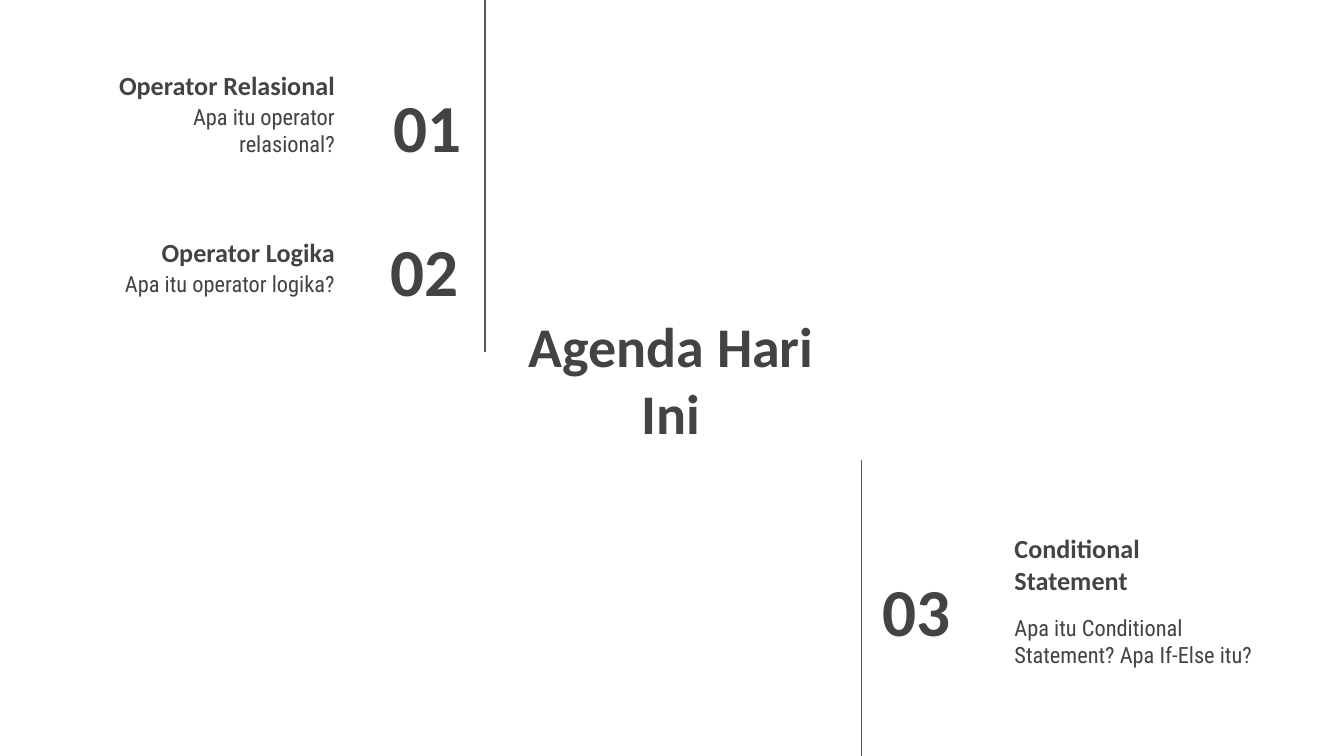
from typing import NamedTuple

from lxml.etree import SubElement
from pptx import Presentation
from pptx.dml.color import RGBColor
from pptx.enum.shapes import MSO_CONNECTOR
from pptx.enum.text import MSO_ANCHOR, PP_ALIGN
from pptx.oxml.ns import qn
from pptx.slide import Slide
from pptx.util import Pt

INK = RGBColor(0x43, 0x43, 0x43)
RULE = RGBColor(0x59, 0x59, 0x59)
HEAD_FONT = "Calibri"
BODY_FONT = "Roboto Condensed"
WIDTH, HEIGHT = 720, 405
INSET = 7.2


class Box(NamedTuple):
    """Left, top, width and height in points."""
    x: float
    y: float
    w: float
    h: float = 45.4


class Topic(NamedTuple):
    num: str
    head: str
    body: str
    num_box: Box
    head_box: Box
    body_box: Box
    align: PP_ALIGN


class Line(NamedTuple):
    x: float
    top: float
    end: float


TOPICS = [
    Topic("01", "Operator Relasional", "Apa itu operator relasional?",
          Box(167, 44.6, 87.1), Box(31, 15.8, 155.5), Box(54.7, 48.2, 131.8),
          PP_ALIGN.RIGHT),
    Topic("02", "Operator Logika", "Apa itu operator logika?",
          Box(165.6, 121.7, 87.1), Box(31, 105.1, 155.5),
          Box(54.7, 137.5, 131.8), PP_ALIGN.RIGHT),
    Topic("03", "Conditional Statement",
          "Apa itu Conditional Statement? Apa If-Else itu?",
          Box(465.8, 303.8, 84.2), Box(536.4, 280.8, 131.8),
          Box(536.4, 321.8, 141.8, 58.3), PP_ALIGN.LEFT),
]
LINES = [Line(259.9, 0, 188.6), Line(461.5, 246.2, HEIGHT)]


def add_text(slide: Slide, text: str, box: Box, *, size: float,
             font: str = HEAD_FONT, bold: bool = True,
             align: PP_ALIGN = PP_ALIGN.CENTER,
             anchor: MSO_ANCHOR = MSO_ANCHOR.MIDDLE) -> None:
    frame = slide.shapes.add_textbox(*map(Pt, box)).text_frame
    frame.word_wrap = True
    frame.vertical_anchor = anchor
    frame.margin_left = frame.margin_right = Pt(INSET)
    frame.margin_top = frame.margin_bottom = Pt(INSET)
    para = frame.paragraphs[0]
    para.alignment = align
    run = para.add_run()
    run.text = text
    run.font.name = font
    run.font.size = Pt(size)
    run.font.bold = bold
    run.font.color.rgb = INK


def add_topic(slide: Slide, topic: Topic) -> None:
    add_text(slide, topic.head, topic.head_box, size=14,
             align=topic.align, anchor=MSO_ANCHOR.BOTTOM)
    add_text(slide, topic.body, topic.body_box, size=12, font=BODY_FONT,
             bold=False, align=topic.align, anchor=MSO_ANCHOR.TOP)
    add_text(slide, topic.num, topic.num_box, size=36, align=topic.align)


def add_line(slide: Slide, line: Line) -> None:
    rule = slide.shapes.add_connector(
        MSO_CONNECTOR.STRAIGHT,
        Pt(line.x), Pt(line.top), Pt(line.x), Pt(line.end))
    rule.line.color.rgb = RULE
    rule.line.width = Pt(0.75)
    SubElement(rule._element.spPr, qn("a:effectLst"))


def main() -> None:
    deck = Presentation()
    deck.slide_width, deck.slide_height = Pt(WIDTH), Pt(HEIGHT)
    slide = deck.slides.add_slide(deck.slide_layouts[6])

    # Title in the centre
    add_text(slide, "Agenda Hari Ini", Box(266.4, 165.6, 186.5, 74.2), size=30)

    # Numbered topics
    for topic in TOPICS:
        add_topic(slide, topic)

    # Vertical rules
    for line in LINES:
        add_line(slide, line)

    deck.save("out.pptx")


if __name__ == "__main__":
    main()
